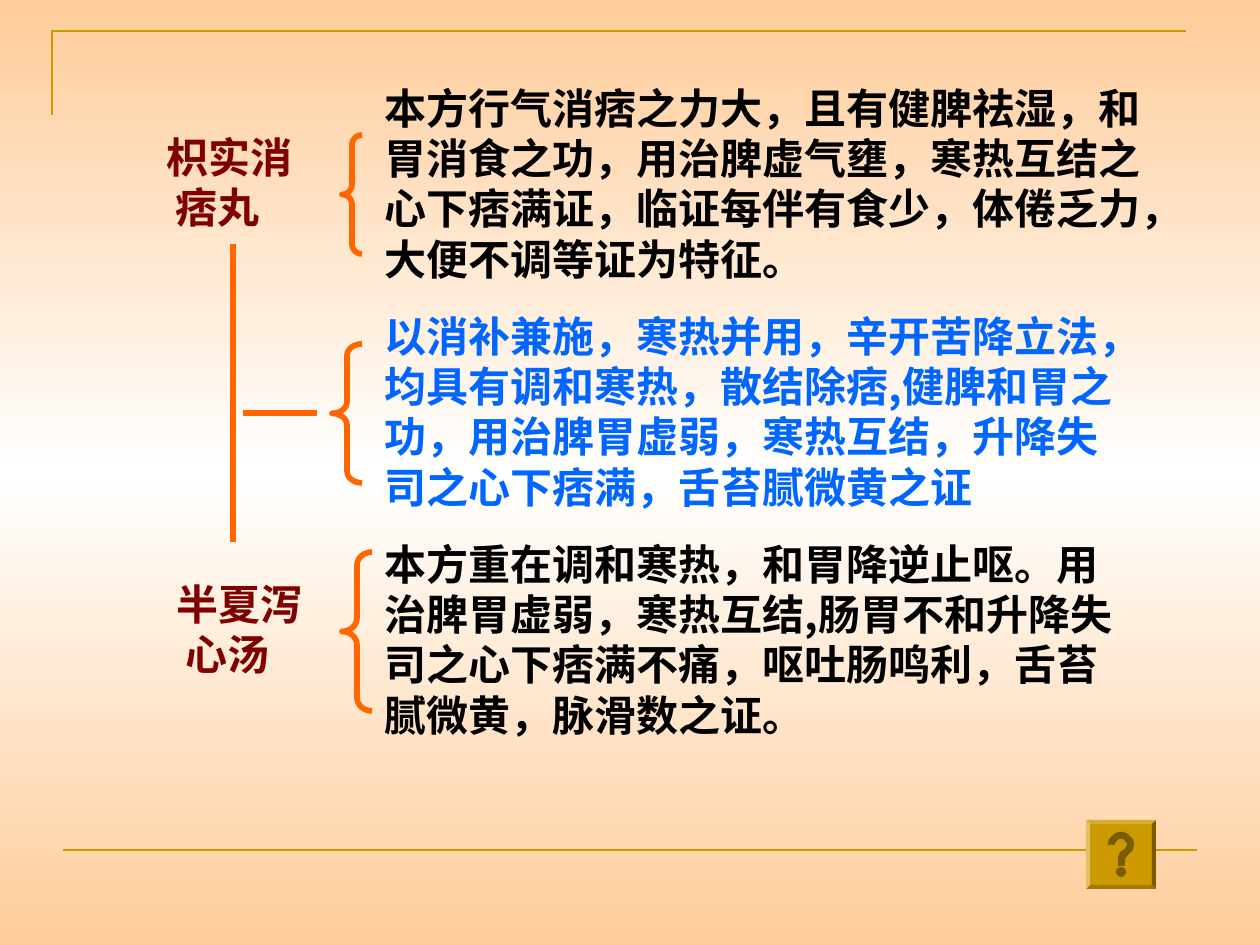
from math import cos, pi, sin

from lxml.etree import SubElement
from pptx import Presentation
from pptx.dml.color import RGBColor
from pptx.enum.shapes import MSO_CONNECTOR, MSO_SHAPE
from pptx.enum.text import MSO_AUTO_SIZE
from pptx.oxml.ns import qn
from pptx.util import Emu, Pt

PX = 914400 // 126
FONT = "Noto Sans CJK SC"
PEACH = RGBColor(0xFF, 0xCC, 0x99)
WHITE = RGBColor(0xFF, 0xFF, 0xFF)
GOLD = RGBColor(0xCC, 0x99, 0x00)
DARK_GOLD = RGBColor(0x7A, 0x5C, 0x00)
ORANGE = RGBColor(0xFF, 0x66, 0x00)
BLACK = RGBColor(0x00, 0x00, 0x00)
BLUE = RGBColor(0x00, 0x66, 0xFF)
MAROON = RGBColor(0x80, 0x00, 0x00)

deck = Presentation()
deck.slide_width, deck.slide_height = Emu(1260 * PX), Emu(945 * PX)
page = deck.slides.add_slide(deck.slide_layouts[6])
shapes = page.shapes


def add_text(text, left, top, width, height, color=BLACK, wrap=True):
    box = shapes.add_textbox(left * PX, top * PX, width * PX, height * PX)
    frame = box.text_frame
    frame.word_wrap = wrap
    frame.auto_size = MSO_AUTO_SIZE.NONE
    frame.text = text
    for para in frame.paragraphs:
        para.line_spacing = Pt(28.8)
        for span in para.runs:
            span.font.name, span.font.size = FONT, Pt(24)
            span.font.bold = True
            span.font.color.rgb = color
            SubElement(span.font._element, qn("a:ea"), typeface=FONT)


def add_line(x1, y1, x2, y2, color, weight):
    line = shapes.add_connector(MSO_CONNECTOR.STRAIGHT, x1 * PX, y1 * PX, x2 * PX, y2 * PX)
    line.line.color.rgb, line.line.width = color, Pt(weight)
    SubElement(line._element.spPr, qn("a:effectLst"))


# Background: peach at the top and bottom, white in the middle
fill = page.background.fill
fill.gradient()
fill.gradient_angle = 270
first, last = fill.gradient_stops
first.color.rgb, first.position = PEACH, 0
last.color.rgb, last.position = PEACH, 1
stops = fill._fill._gradFill.gsLst
middle = SubElement(stops, qn("a:gs"), pos="50000")
SubElement(middle, qn("a:srgbClr"), val=str(WHITE))
stops.insert(1, middle)

# Gold frame
outline = shapes.build_freeform(52, 115, scale=PX)
outline.add_line_segments([(52, 31), (1186, 31)], close=False)
corner = outline.convert_to_shape()
corner.shadow.inherit = False
corner.fill.background()
corner.line.color.rgb, corner.line.width = GOLD, Pt(1.5)
add_line(63, 850, 1197, 850, GOLD, 1.5)

# Braces and the lines that join the two formulas
for left, top, width, height in [(342, 135, 20, 119), (332, 344, 30, 139), (342, 552, 30, 159)]:
    brace = shapes.add_shape(MSO_SHAPE.LEFT_BRACE, left * PX, top * PX, width * PX, height * PX)
    brace.shadow.inherit = False
    brace.adjustments[0] = height / width / 12
    brace.fill.background()
    brace.line.color.rgb, brace.line.width = ORANGE, Pt(3.25)
add_line(233, 244, 233, 542, ORANGE, 3.25)
add_line(243, 413, 317, 413, ORANGE, 3.25)

# Descriptions
add_text("本方行气消痞之力大，且有健脾祛湿，和胃消食之功，用治脾虚气壅，寒热互结之心下痞满证，"
         "临证每伴有食少，体倦乏力，大便不调等证为特征。", 372, 76, 788, 214)
add_text("以消补兼施，寒热并用，辛开苦降立法，均具有调和寒热，散结除痞,健脾和胃之功，用治脾胃虚弱，"
         "寒热互结，升降失司之心下痞满，舌苔腻微黄之证", 372, 304, 777, 214, color=BLUE)
add_text("本方重在调和寒热，和胃降逆止呕。用治脾胃虚弱，寒热互结,肠胃不和升降失司之心下痞满不痛，"
         "呕吐肠鸣利，舌苔腻微黄，脉滑数之证。", 372, 532, 766, 214)

# Formula names
add_text("枳实消\n 痞丸", 154, 125, 151, 113, color=MAROON, wrap=False)
add_text("半夏泻\n 心汤", 164, 572, 151, 113, color=MAROON, wrap=False)

# Help button
button = shapes.add_shape(MSO_SHAPE.BEVEL, 1086 * PX, 820 * PX, 70 * PX, 69 * PX)
button.adjustments[0] = 0.06
dot = shapes.add_shape(MSO_SHAPE.OVAL, 1116 * PX, 867 * PX, 10 * PX, 10 * PX)
angles = [pi * step / 12 for step in range(13)]
outer = [(1121 - 13 * cos(a), 845 - 13 * sin(a)) for a in angles]
inner = [(1121 + 6 * cos(a), 845 - 6 * sin(a)) for a in angles]
stem = [(1133, 850), (1128, 855), (1125, 859), (1125, 866),
        (1118, 866), (1118, 858), (1120, 852), (1125, 849)]
outline = shapes.build_freeform(*outer[0], scale=PX)
outline.add_line_segments(outer[1:] + stem + inner)
hook = outline.convert_to_shape()
for shape, color in [(button, GOLD), (dot, DARK_GOLD), (hook, DARK_GOLD)]:
    shape.shadow.inherit = False
    shape.fill.solid()
    shape.fill.fore_color.rgb = color
    shape.line.fill.background()

deck.save("out.pptx")
